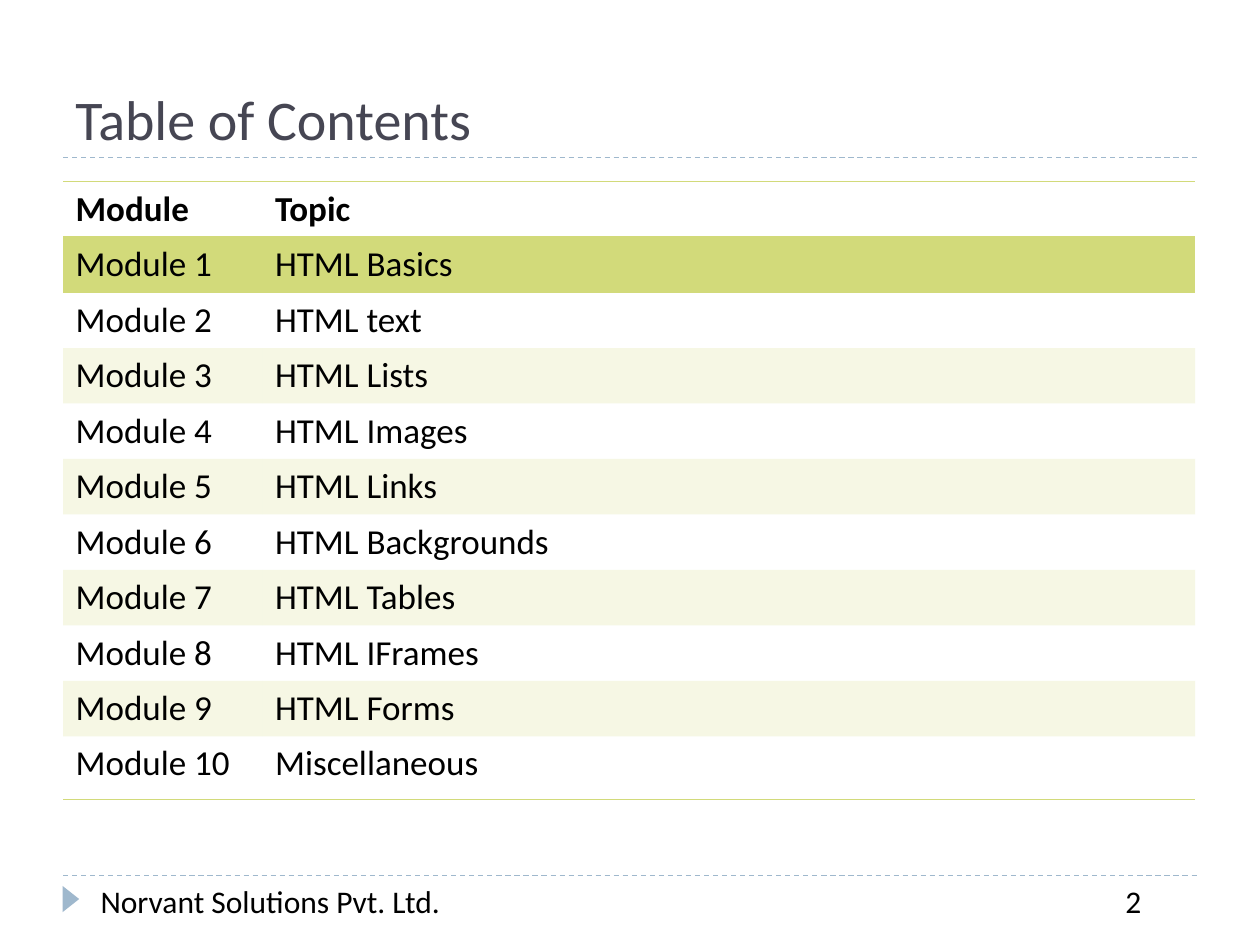
from lxml import etree
from pptx import Presentation
from pptx.dml.color import RGBColor
from pptx.enum.dml import MSO_LINE
from pptx.enum.shapes import MSO_CONNECTOR, MSO_SHAPE
from pptx.enum.text import MSO_ANCHOR
from pptx.oxml.ns import qn
from pptx.util import Pt

STRAIGHT = MSO_CONNECTOR.STRAIGHT
TRIANGLE = MSO_SHAPE.ISOSCELES_TRIANGLE
DASH = MSO_LINE.DASH
TOP, BOTTOM = MSO_ANCHOR.TOP, MSO_ANCHOR.BOTTOM

FONT = "Calibri"
BLACK, SLATE, BLUE, LIME = "000000", "464653", "9FB8CD", "D2DA7A"
BAND_OPACITY = 20

TOPICS = [
    "HTML Basics", "HTML text", "HTML Lists", "HTML Images", "HTML Links",
    "HTML Backgrounds", "HTML Tables", "HTML IFrames", "HTML Forms",
    "Miscellaneous",
]


def color(value):
    return RGBColor.from_string(value)


def write(frame, text, size=18, ink=BLACK, bold=False, anchor=TOP):
    frame.word_wrap = True
    frame.vertical_anchor = anchor
    span = frame.paragraphs[0].add_run()
    span.text = text
    span.font.name = FONT
    span.font.size = Pt(size)
    span.font.bold = bold
    span.font.color.rgb = color(ink)


def add_text(page, box, text, **style):
    shape = page.shapes.add_textbox(*map(Pt, box))
    write(shape.text_frame, text, **style)


def add_rule(page, left, top, width):
    rule = page.shapes.add_connector(
        STRAIGHT, Pt(left), Pt(top), Pt(left + width), Pt(top))
    rule.line.color.rgb = color(BLUE)
    rule.line.width = Pt(0.75)
    rule.line.dash_style = DASH
    etree.SubElement(rule._element.spPr, qn("a:effectLst"))


def set_borders(cell, lined_sides):
    """Draw a lime line on the given sides and clear the others."""
    properties = cell._tc.get_or_add_tcPr()
    for side in "LRTB":
        border = etree.SubElement(properties, qn(f"a:ln{side}"), w=str(Pt(1)))
        if side in lined_sides:
            fill = etree.SubElement(border, qn("a:solidFill"))
            etree.SubElement(fill, qn("a:srgbClr"), val=LIME)
        else:
            etree.SubElement(border, qn("a:noFill"))


def set_band(cell, banded):
    if not banded:
        cell.fill.background()
        return
    cell.fill.solid()
    cell.fill.fore_color.rgb = color(LIME)
    tint = cell._tc.tcPr.find(f".//{qn('a:solidFill')}[last()]/{qn('a:srgbClr')}")
    tint = cell._tc.tcPr.find(qn("a:solidFill")).find(qn("a:srgbClr")) if tint is None else tint
    etree.SubElement(tint, qn("a:alpha"), val=str(BAND_OPACITY * 1000))


def add_header(page, box, title):
    left, top, width, height = box
    add_rule(page, left, top + height, width)
    add_text(page, box, title, size=32, ink=SLATE, anchor=BOTTOM)


def add_contents(page, box, topics):
    rows = [("Module", "Topic")]
    rows += [(f"Module {n}", topic) for n, topic in enumerate(topics, 1)]
    last = len(rows) - 1
    left, top, width, height = box
    last_height, module_width = 36, 114
    table = page.shapes.add_table(len(rows), 2, *map(Pt, box)).table
    table.first_row = table.horz_banding = False
    table.columns[0].width = Pt(module_width)
    table.columns[1].width = Pt(width - module_width)

    for r, texts in enumerate(rows):
        table.rows[r].height = Pt(
            last_height if r == last else (height - last_height) / last)
        # Lines run above and below the heading and below the last row
        lined = ("T" if r <= 1 else "") + ("B" if r in (0, last) else "")
        for c, text in enumerate(texts):
            cell = table.cell(r, c)
            write(cell.text_frame, text, size=20, bold=r == 0)
            set_borders(cell, lined)
            set_band(cell, r % 2 == 1)


def add_footer(page, box, company, number):
    left, top, width, height = box
    add_rule(page, left, top, width)
    # Marker pointing right
    marker = page.shapes.add_shape(
        TRIANGLE, Pt(left - 3), Pt(top + 8.8), Pt(15), Pt(9.5))
    marker.rotation = 90
    marker.shadow.inherit = False
    marker.fill.solid()
    marker.fill.fore_color.rgb = color(BLUE)
    marker.line.fill.background()
    # Company and page number
    add_text(page, (left + 14.4, top, 273.6, height), company)
    number_width = 48
    add_text(page, (left + width - number_width, top, number_width, height),
             number)


def main():
    deck = Presentation()
    deck.slide_width, deck.slide_height = Pt(720), Pt(540)
    page = deck.slides.add_slide(deck.slide_layouts[6])
    add_header(page, (36, 18, 648, 72), "Table of Contents")
    add_contents(page, (36, 103.8, 647, 353), TOPICS)
    add_footer(page, (36, 500.2, 648, 29), "Norvant Solutions Pvt. Ltd.", "2")
    deck.save("out.pptx")


if __name__ == "__main__":
    main()
